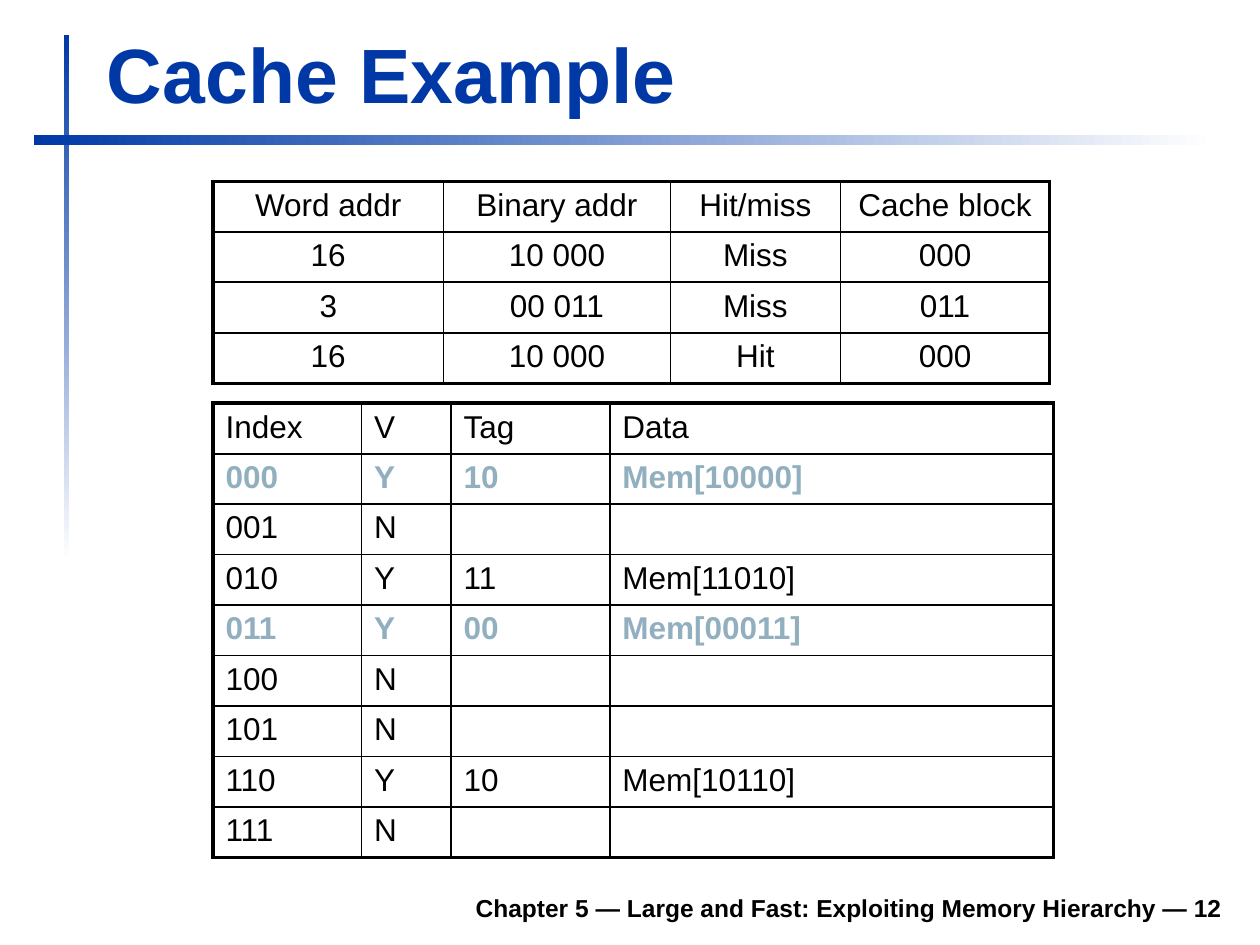
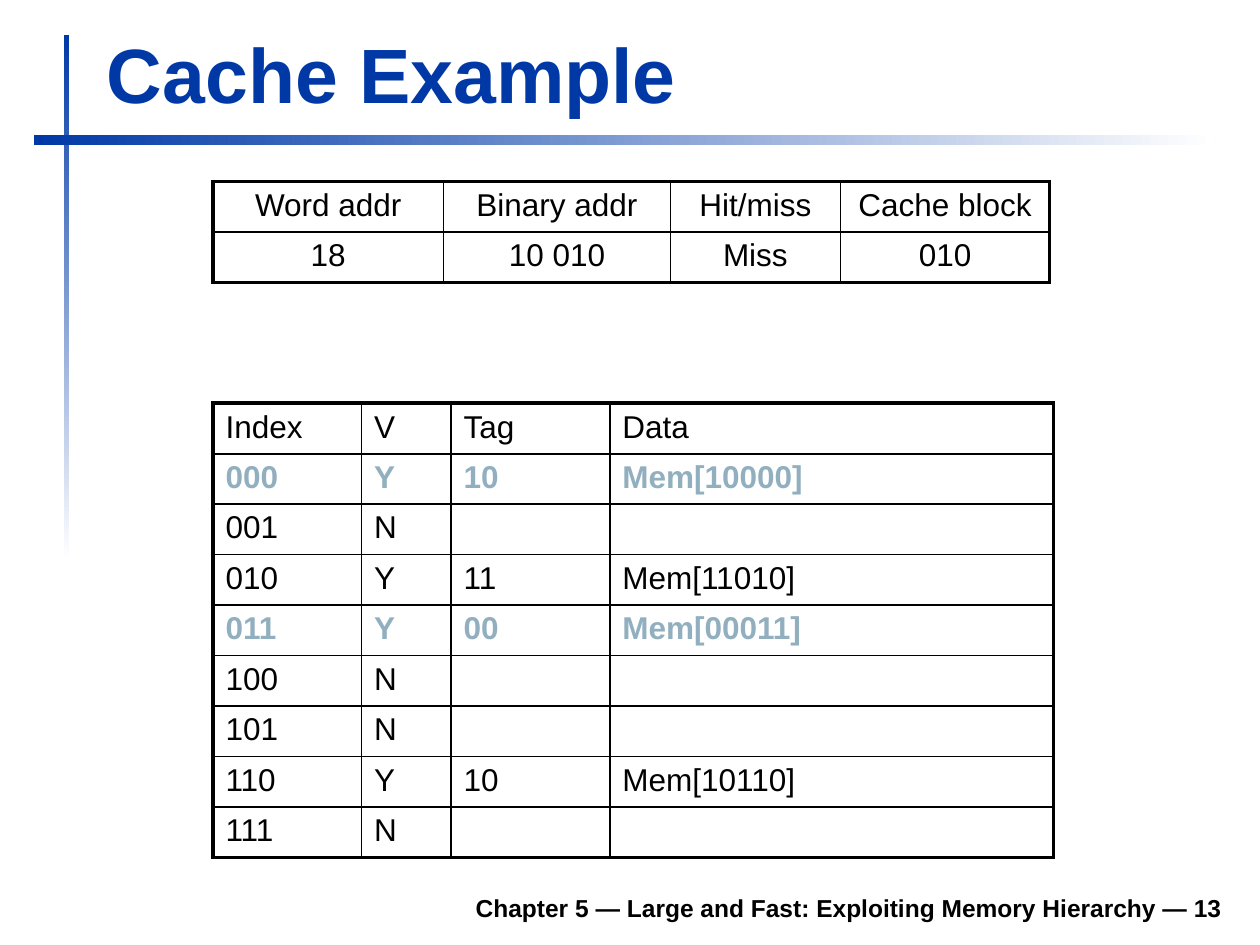
from lxml import etree
from pptx import Presentation
from pptx import util as u
from pptx.dml.color import RGBColor
from pptx.enum import shapes, text
from pptx.oxml import ns

FONT = "Arial"
BLUE, WHITE, BLACK, HIGHLIGHT = "0039A6", "FFFFFF", "000000", "91AFBF"
OUTER, HEADER_RULE, INNER = 2.25, 1.5, 1  # border widths in points
ROW_HEIGHT = 0.4

TRACE_COLUMNS = [1.83, 1.8, 1.35, 1.66]
TRACE_HEADER = ["Word addr", "Binary addr", "Hit/miss", "Cache block"]
CACHE_COLUMNS = [1.18, 0.71, 1.26, 3.52]
CACHE = [
    ["Index", "V", "Tag", "Data"],
    ["000", "Y", "10", "Mem[10000]"],
    ["001", "N", "", ""],
    ["010", "Y", "11", "Mem[11010]"],
    ["011", "Y", "00", "Mem[00011]"],
    ["100", "N", "", ""],
    ["101", "N", "", ""],
    ["110", "Y", "10", "Mem[10110]"],
    ["111", "N", "", ""],
]
HIGHLIGHTED_ROWS = (1, 4)

# Slide number -> accesses shown in the upper table
ACCESSES = {
    12: [["16", "10 000", "Miss", "000"],
         ["3", "00 011", "Miss", "011"],
         ["16", "10 000", "Hit", "000"]],
    13: [["18", "10 010", "Miss", "010"]],
}


def rgb(value):
    return RGBColor.from_string(value)


def inches(values):
    return [u.Inches(v) for v in values]


def add_run(paragraph, words, size, color=BLACK, bold=False):
    run = paragraph.add_run()
    run.text = words
    run.font.name = FONT
    run.font.size = u.Pt(size)
    run.font.bold = bold
    run.font.color.rgb = rgb(color)


def add_line_of_text(slide, box, words, size, color, align):
    frame = slide.shapes.add_textbox(*inches(box)).text_frame
    frame.word_wrap = True
    frame.vertical_anchor = text.MSO_ANCHOR.BOTTOM
    frame.paragraphs[0].alignment = align
    add_run(frame.paragraphs[0], words, size, color, bold=True)


def add_fading_bar(slide, box, angle):
    bar = slide.shapes.add_shape(shapes.MSO_SHAPE.RECTANGLE, *inches(box))
    bar.shadow.inherit = False
    bar.line.fill.background()
    bar.fill.gradient()
    bar.fill.gradient_angle = angle
    for stop, color in zip(bar.fill.gradient_stops, (BLUE, WHITE)):
        stop.color.rgb = rgb(color)


def set_borders(cell, widths):
    """Draw the left, right, top and bottom borders, widths in points."""
    properties = cell._tc.get_or_add_tcPr()
    for position, (side, width) in enumerate(zip("LRTB", widths)):
        line = etree.Element(ns.qn(f"a:ln{side}"), w=str(u.Pt(width)))
        fill = etree.SubElement(line, ns.qn("a:solidFill"))
        etree.SubElement(fill, ns.qn("a:srgbClr"), val=BLACK)
        properties.insert(position, line)


def add_ruled_table(slide, left, top, columns, rows, align, body_rule,
                    highlighted=()):
    box = (left, top, sum(columns), ROW_HEIGHT * len(rows))
    table = slide.shapes.add_table(len(rows), len(columns), *inches(box)).table
    table.first_row = table.horz_banding = False
    for column, width in zip(table.columns, columns):
        column.width = u.Inches(width)

    # Rule widths from first edge to last, shared by neighbouring cells
    across = [OUTER] + [INNER] * (len(columns) - 1) + [OUTER]
    down = [OUTER, HEADER_RULE] + [body_rule] * (len(rows) - 2) + [OUTER]
    for r, row in enumerate(rows):
        table.rows[r].height = u.Inches(ROW_HEIGHT)
        marked = r in highlighted
        for c, words in enumerate(row):
            cell = table.cell(r, c)
            cell.fill.background()
            set_borders(cell, across[c:c + 2] + down[r:r + 2])
            paragraph = cell.text_frame.paragraphs[0]
            paragraph.alignment = align
            if words:
                add_run(paragraph, words, 18,
                        HIGHLIGHT if marked else BLACK, marked)


def add_frame(slide, number):
    # Crossed bars, title and footer
    add_fading_bar(slide, (0.51, 0.28, 0.04, 4.17), 270)
    add_fading_bar(slide, (0.27, 1.07, 9.37, 0.08), 0)
    add_line_of_text(slide, (0.75, 0.16, 9.03, 0.83), "Cache Example",
                     44, BLUE, text.PP_ALIGN.LEFT)
    add_line_of_text(
        slide, (1.85, 6.98, 7.95, 0.39),
        f"Chapter 5 — Large and Fast: Exploiting Memory Hierarchy — {number}",
        14, BLACK, text.PP_ALIGN.RIGHT)


def add_cache_slide(deck, number, accesses):
    slide = deck.slides.add_slide(deck.slide_layouts[6])
    add_frame(slide, number)
    # Accesses above, cache contents below
    add_ruled_table(slide, 1.69, 1.44, TRACE_COLUMNS,
                    [TRACE_HEADER] + accesses,
                    text.PP_ALIGN.CENTER, HEADER_RULE)
    add_ruled_table(slide, 1.69, 3.2, CACHE_COLUMNS, CACHE,
                    text.PP_ALIGN.LEFT, INNER, HIGHLIGHTED_ROWS)


def main():
    deck = Presentation()
    deck.slide_width, deck.slide_height = inches((10, 7.5))
    for number, accesses in ACCESSES.items():
        add_cache_slide(deck, number, accesses)
    deck.save("out.pptx")


if __name__ == "__main__":
    main()
